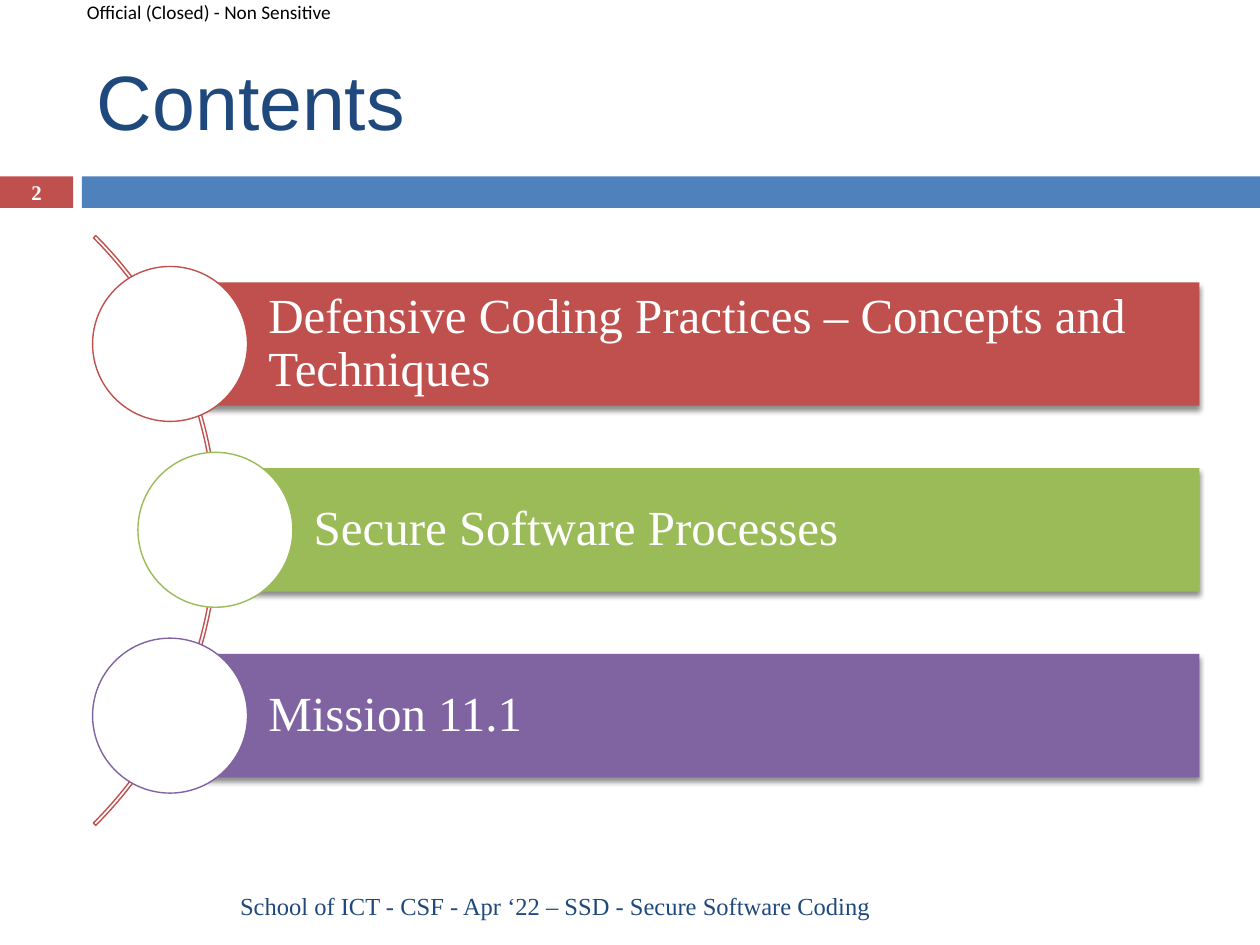
from lxml import etree
from pptx import Presentation
from pptx.dml.color import RGBColor
from pptx.enum.shapes import MSO_SHAPE
from pptx.enum.text import MSO_ANCHOR, PP_ALIGN
from pptx.oxml.ns import qn
from pptx.util import Inches, Pt

RECT, OVAL, ARC = MSO_SHAPE.RECTANGLE, MSO_SHAPE.OVAL, MSO_SHAPE.BLOCK_ARC
TOP, MIDDLE = MSO_ANCHOR.TOP, MSO_ANCHOR.MIDDLE
LEFT, CENTER, RIGHT = PP_ALIGN.LEFT, PP_ALIGN.CENTER, PP_ALIGN.RIGHT

SERIF = "Times New Roman"
WHITE, BLACK, NAVY = "FFFFFF", "000000", "1F497D"
RED, BLUE, GREEN, PURPLE = "C0504D", "4F81BD", "9BBB59", "8064A2"

BAR_RIGHT, BAR_HEIGHT = 9.52, 0.98
FIRST_CENTER, LAST_CENTER = 2.73, 5.68
CIRCLE = 1.23
TOPICS = [
    ("Defensive Coding Practices – Concepts and Techniques", RED, 1.35),
    ("Secure Software Processes", GREEN, 1.71),
    ("Mission 11.1", PURPLE, 1.35),
]


def rgb(color):
    return RGBColor.from_string(color)


def add_shape(s, kind, box, fill=None, line=None):
    sp = s.shapes.add_shape(kind, *map(Inches, box))
    sp.shadow.inherit = False
    if fill:
        sp.fill.solid()
        sp.fill.fore_color.rgb = rgb(fill)
    else:
        sp.fill.background()
    if line:
        sp.line.color.rgb = rgb(line)
        sp.line.width = Pt(0.79)
    else:
        sp.line.fill.background()
    return sp


def add_drop_shadow(sp):
    effects = sp.element.spPr.find(qn("a:effectLst"))
    shadow = etree.SubElement(effects, qn("a:outerShdw"), blurRad=str(Pt(3)),
                              dist=str(Pt(2.4)), dir="5400000", rotWithShape="0")
    color = etree.SubElement(shadow, qn("a:srgbClr"), val=BLACK)
    etree.SubElement(color, qn("a:alpha"), val="45000")


def set_text(sp, text, size, color, font=SERIF, bold=False, align=LEFT,
             anchor=MIDDLE, insets=(0.1, 0.05, 0.1, 0.05), wrap=True, spacing=None):
    tf = sp.text_frame
    frame = {"word_wrap": wrap, "vertical_anchor": anchor}
    sides = ("left", "top", "right", "bottom")
    frame.update({f"margin_{side}": Inches(v) for side, v in zip(sides, insets)})
    for name, value in frame.items():
        setattr(tf, name, value)
    p = tf.paragraphs[0]
    p.alignment = align
    p.line_spacing = spacing
    r = p.add_run()
    r.text = text
    for name, value in {"name": font, "size": Pt(size), "bold": bold}.items():
        setattr(r.font, name, value)
    r.font.color.rgb = rgb(color)


def add_label(s, box, text, size, color, **options):
    set_text(s.shapes.add_textbox(*map(Inches, box)), text, size, color, **options)


def add_topic(s, text, color, left, center):
    """Draw a bar with its text and the circle centred on the bar's left edge."""
    bar = add_shape(s, RECT, (left, center - BAR_HEIGHT / 2,
                              BAR_RIGHT - left, BAR_HEIGHT), color)
    add_drop_shadow(bar)
    set_text(bar, text, 28, WHITE, insets=(0.78, 0.08, 0.08, 0.08), spacing=0.9)
    add_shape(s, OVAL, (left - CIRCLE / 2, center - CIRCLE / 2, CIRCLE, CIRCLE),
              WHITE, color)


def add_arc(s):
    arc = add_shape(s, ARC, (-4.89, 0.9, 6.62, 6.62), line=RED)
    for i, value in enumerate((189, 27, 0.004)):
        arc.adjustments[i] = value


def main():
    prs = Presentation()
    prs.slide_width, prs.slide_height = Inches(10), Inches(7.5)
    s = prs.slides.add_slide(prs.slide_layouts[6])

    add_shape(s, RECT, (0, 1.4, 0.58, 0.25), RED)
    add_shape(s, RECT, (0.65, 1.4, 9.35, 0.25), BLUE)
    add_label(s, (0.69, 0, 1.97, 0.18), "Official (Closed) - Non Sensitive", 11, BLACK,
              font="Calibri", anchor=TOP, insets=(0, 0, 0, 0), wrap=False)
    add_label(s, (0.67, 0.25, 8.92, 1.08), "Contents", 44, NAVY, font="Arial")
    add_label(s, (0, 1.39, 0.58, 0.27), "2", 11.9, WHITE, bold=True, align=CENTER)

    add_arc(s)
    pitch = (LAST_CENTER - FIRST_CENTER) / (len(TOPICS) - 1)
    for i, (text, color, left) in enumerate(TOPICS):
        add_topic(s, text, color, left, FIRST_CENTER + i * pitch)

    add_label(s, (0.67, 6.99, 6.34, 0.4),
              "School of ICT - CSF - Apr ‘22 – SSD - Secure Software Coding",
              14, NAVY, align=RIGHT)
    prs.save("out.pptx")


if __name__ == "__main__":
    main()
